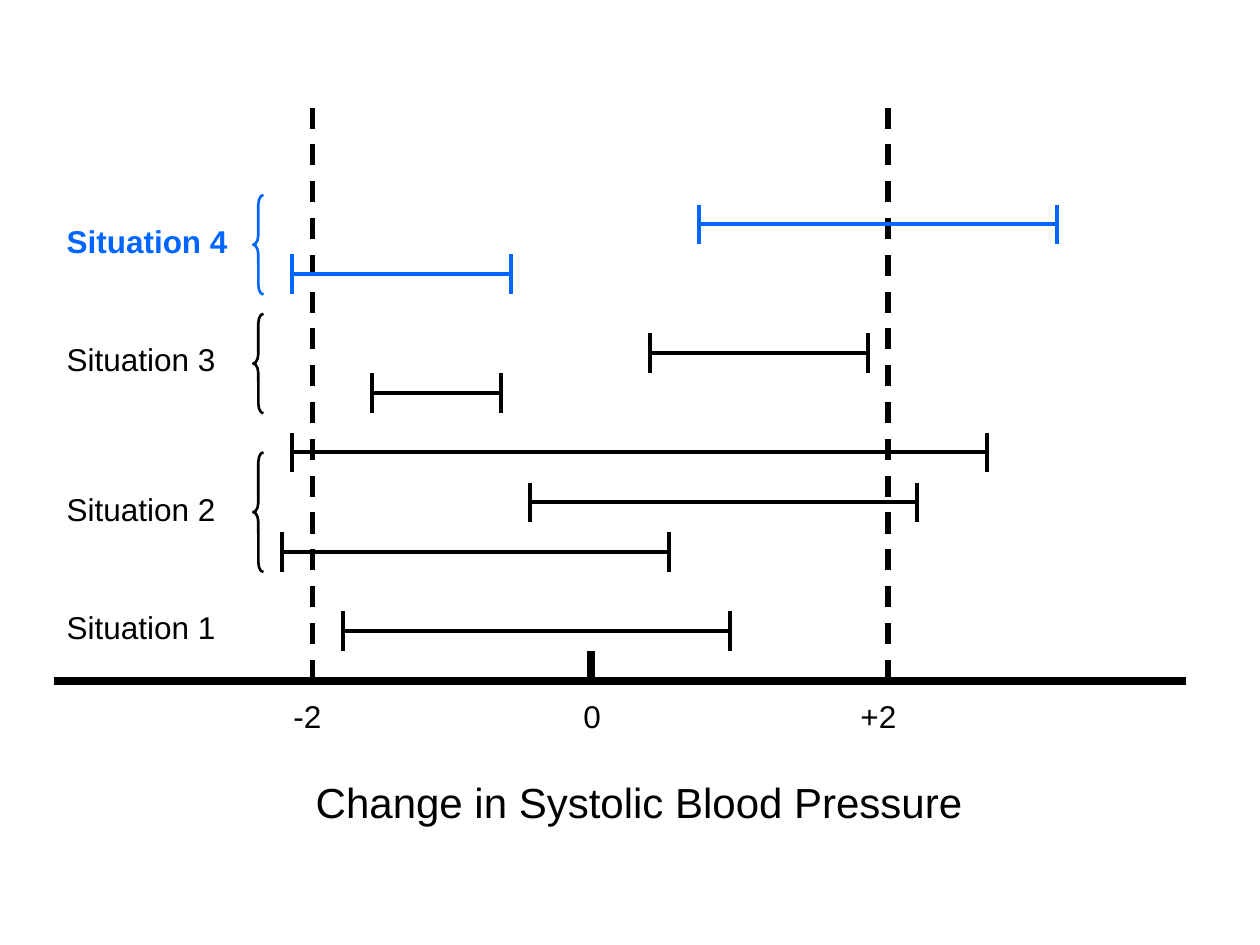
from lxml.etree import SubElement
from pptx import Presentation
from pptx.dml.color import RGBColor
from pptx.enum.dml import MSO_LINE
from pptx.enum.shapes import MSO_CONNECTOR, MSO_SHAPE
from pptx.enum.text import MSO_AUTO_SIZE
from pptx.oxml.ns import qn
from pptx.util import Pt

COLORS = {"black": "000000", "blue": "0066FF"}
AXIS_Y = 389
CAP = 11.3  # half the height of an interval's end cap

# Label top, colour, brace (top, height), intervals (left, right, y)
SITUATIONS = {
    "Situation 1": (343.7, "black", None, [(195.8, 416.9, 360.7)]),
    "Situation 2": (276.5, "black", (258.5, 68.4), [
        (161.3, 382.3, 315.4), (303.1, 524.2, 287.1), (167, 563.8, 258.5)]),
    "Situation 3": (191, "black", (179.3, 56.9), [
        (212.4, 286.4, 224.6), (371.5, 496.1, 201.6)]),
    "Situation 4": (123.1, "blue", (111.4, 56.9), [
        (167, 292.2, 156.7), (399.6, 604.1, 128.2)]),
}


def add_line(shapes, x1, y1, x2, y2, color="black", width=2.25, dash=None):
    line = shapes.add_connector(
        MSO_CONNECTOR.STRAIGHT, Pt(x1), Pt(y1), Pt(x2), Pt(y2))
    line.line.color.rgb = RGBColor.from_string(COLORS[color])
    line.line.width = Pt(width)
    if dash:
        line.line.dash_style = dash
    SubElement(line._element.spPr, qn("a:effectLst"))


def add_text(shapes, text, left, top, width, height, size=18,
             color="black", bold=False, wrap=False):
    label = shapes.add_textbox(Pt(left), Pt(top), Pt(width), Pt(height))
    frame = label.text_frame
    frame.word_wrap = wrap
    frame.auto_size = MSO_AUTO_SIZE.SHAPE_TO_FIT_TEXT
    frame.text = text
    font = frame.paragraphs[0].runs[0].font
    font.name = "Arial"
    font.size = Pt(size)
    font.bold = bold
    font.color.rgb = RGBColor.from_string(COLORS[color])


def add_interval(shapes, left, right, y, color):
    interval = shapes.add_group_shape().shapes
    add_line(interval, left, y, right, y, color)
    for end in (right, left):
        add_line(interval, end, y - CAP, end, y + CAP, color)


def add_brace(shapes, top, height, color):
    brace = shapes.add_shape(
        MSO_SHAPE.LEFT_BRACE, Pt(144.7), Pt(top), Pt(5.8), Pt(height))
    brace.adjustments[0] = 0.95
    brace.shadow.inherit = False
    brace.fill.background()
    brace.line.color.rgb = RGBColor.from_string(COLORS[color])
    brace.line.width = Pt(1.5)


def add_axis(shapes):
    add_line(shapes, 31, AXIS_Y, 677.5, AXIS_Y, width=4.5)
    add_line(shapes, 337.5, 372.2, 337.5, AXIS_Y, width=4.5)
    for limit in (178.6, 507.4):
        add_line(shapes, limit, AXIS_Y, limit, 60.7, width=3,
                 dash=MSO_LINE.DASH)
    # Tick boxes are a little wider than their text, so none of it breaks
    for tick, left, width in (("-2", 160.6, 32), ("0", 326.2, 26),
                              ("+2", 484.6, 38)):
        add_text(shapes, tick, left, 394.6, width, 28.8)
    add_text(shapes, "Change in Systolic Blood Pressure",
             173.3, 439.9, 386, 36, size=24)


def main():
    prs = Presentation()
    prs.slide_width, prs.slide_height = Pt(720), Pt(540)
    shapes = prs.slides.add_slide(prs.slide_layouts[6]).shapes

    # Axis with its limits and captions
    add_axis(shapes)

    # Situations from the axis upwards
    for name, (top, color, brace, intervals) in SITUATIONS.items():
        add_text(shapes, name, 31, top, 124.6, 50.4, color=color,
                 bold=color == "blue", wrap=True)
        for left, right, y in intervals:
            add_interval(shapes, left, right, y, color)
        if brace:
            add_brace(shapes, *brace, color)

    prs.save("out.pptx")


if __name__ == "__main__":
    main()
